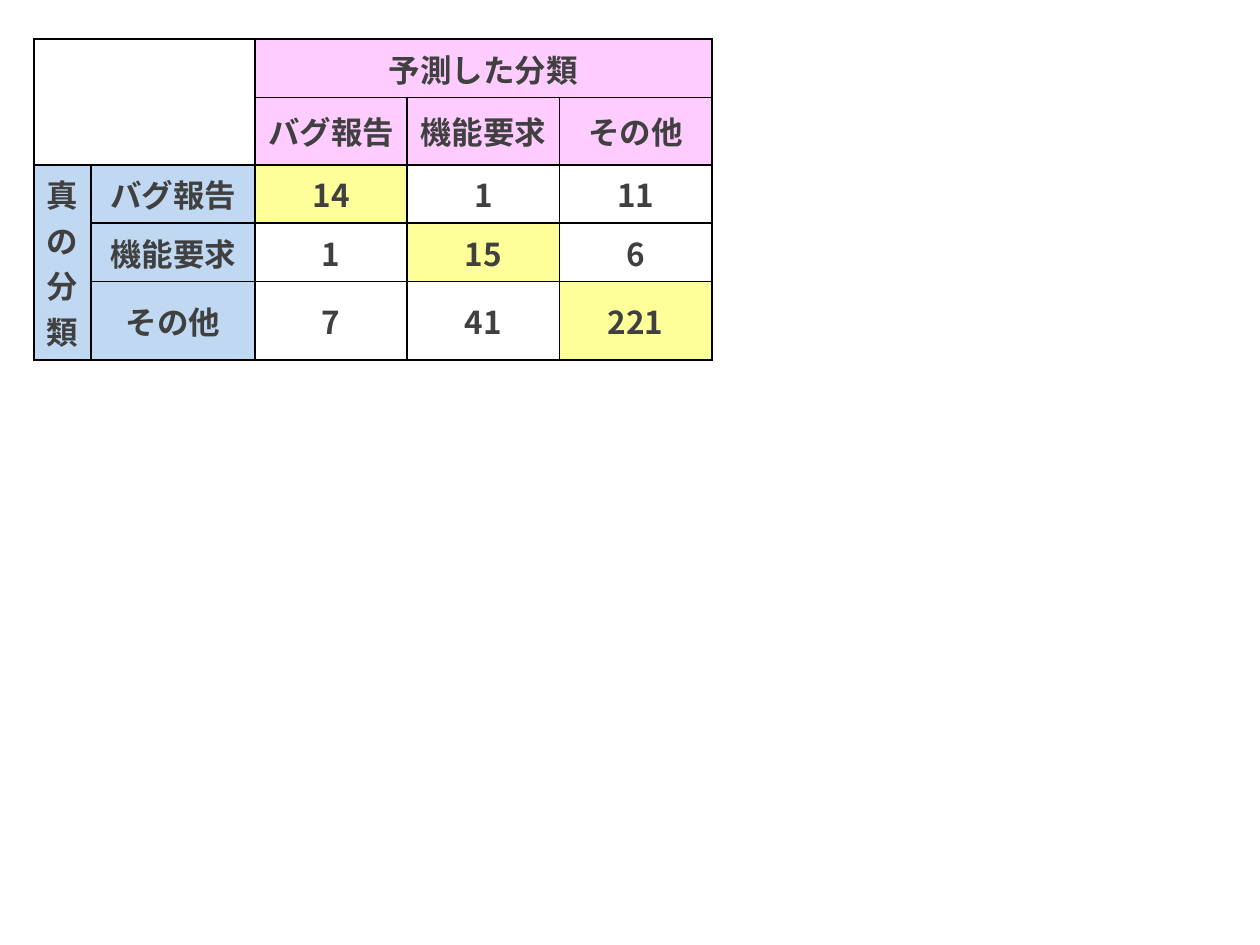
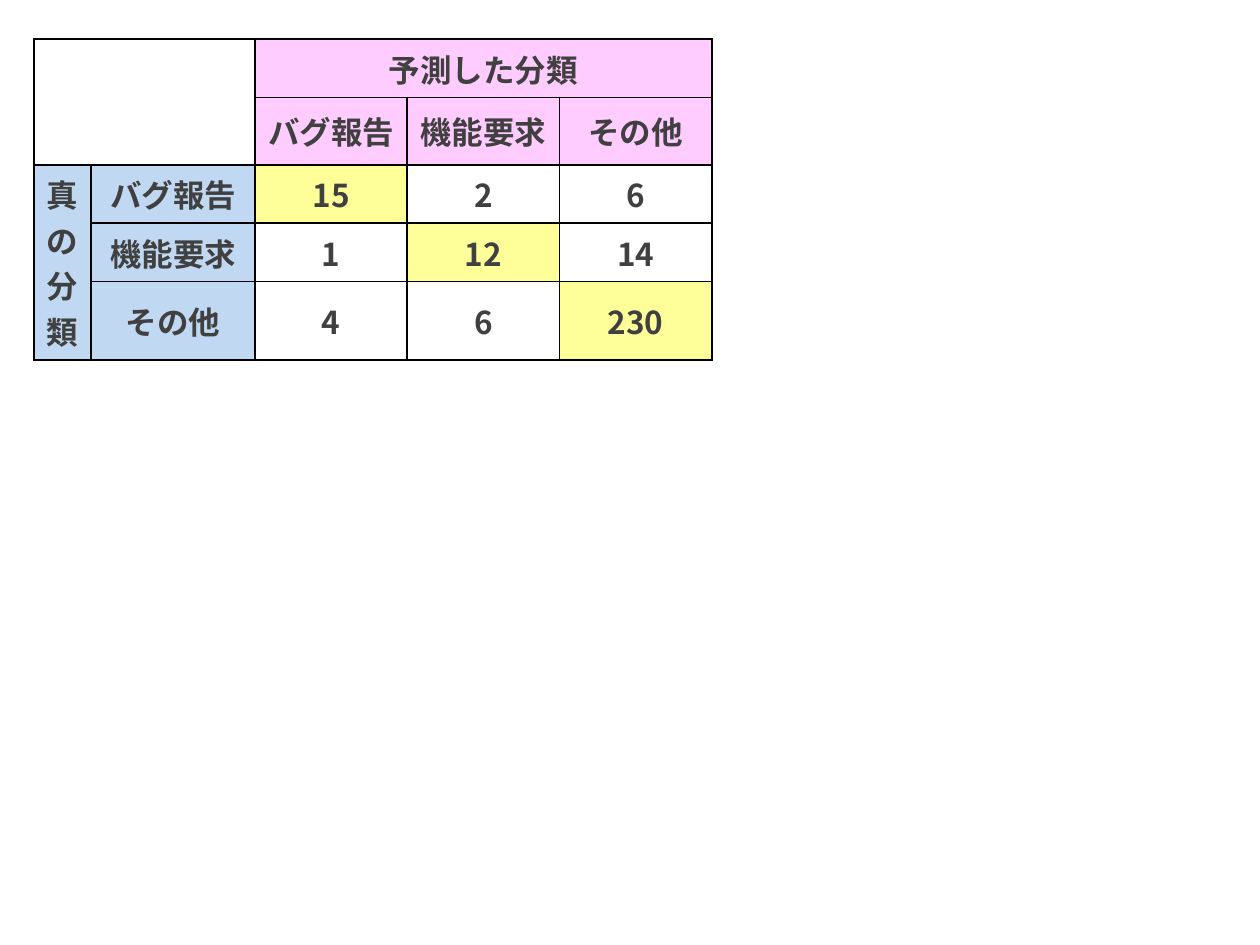
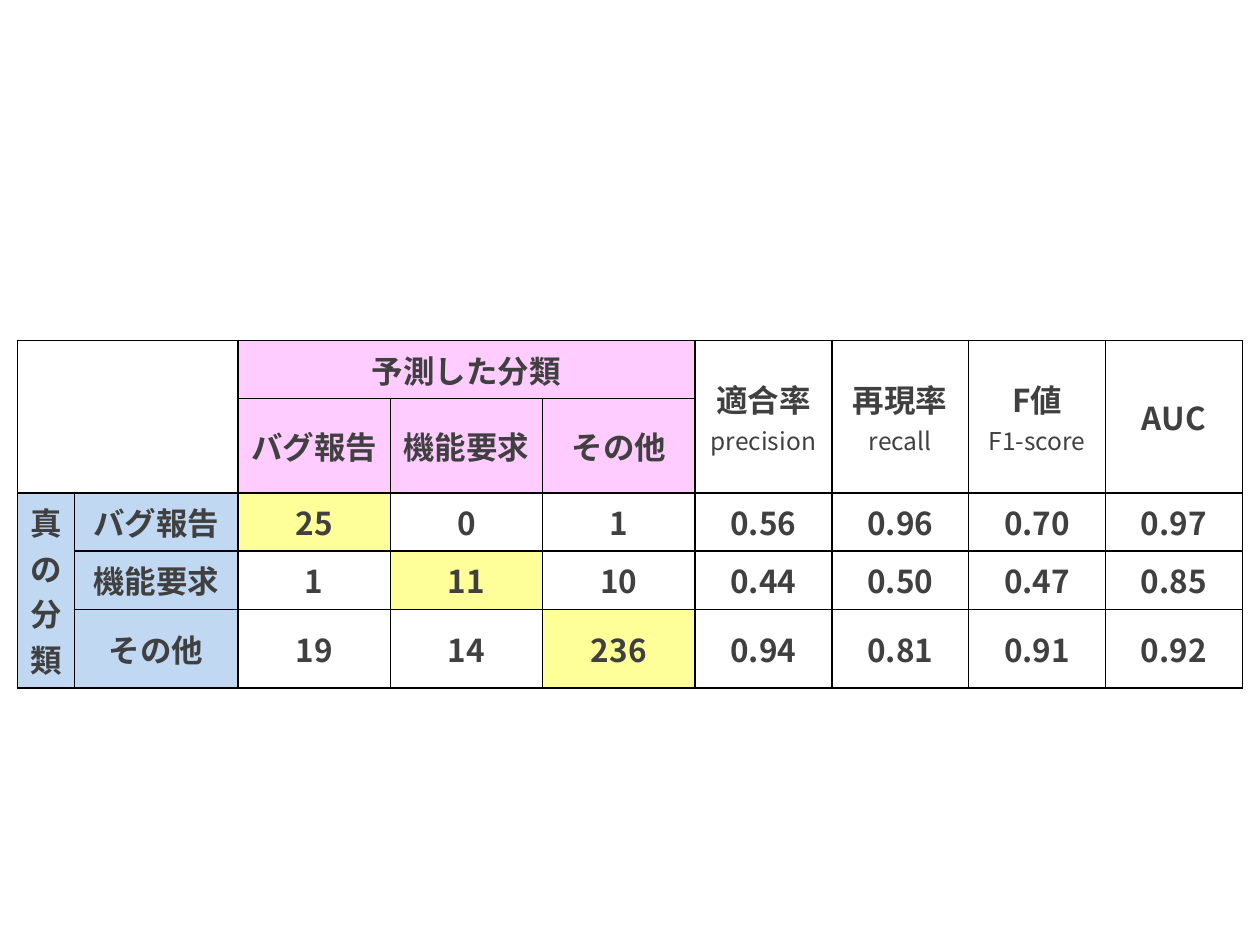
from lxml.etree import SubElement
from pptx import Presentation
from pptx.dml.color import RGBColor
from pptx.enum.text import MSO_ANCHOR, PP_ALIGN
from pptx.oxml import parse_xml
from pptx.oxml.ns import nsdecls, qn
from pptx.util import Cm, Pt

FONT = "Noto Sans CJK JP"
TEXT = RGBColor(0x40, 0x40, 0x40)
PREDICTED = RGBColor(0xFF, 0xCC, 0xFF)
ACTUAL = RGBColor(0xC1, 0xD8, 0xF2)
CORRECT = RGBColor(0xFF, 0xFF, 0x99)

CLASSES = ["バグ報告", "機能要求", "その他"]
METRICS = ["適合率\nprecision", "再現率\nrecall", "F値\nF1-score", "AUC"]
HEAD = 2  # heading rows above, and heading columns left of, the counts
FIRST_METRIC = HEAD + len(CLASSES)
LABEL_WIDTHS = [1.15, 3.3]
CLASS_WIDTH, METRIC_WIDTH = 3.07, 2.76
ROW_HEIGHT = 1

# left, top, height of the class heading row, metric names, values per true class
RESULTS = [
    (0.69, 0.79, 1.36, [], [[14, 1, 11], [1, 15, 6], [7, 41, 221]]),
    (0.69, 0.79, 1.36, [], [[15, 2, 6], [1, 12, 14], [4, 6, 230]]),
    (0.35, 6.86, 1.9, METRICS, [
        [25, 0, 1, "0.56", "0.96", "0.70", "0.97"],
        [1, 11, 10, "0.44", "0.50", "0.47", "0.85"],
        [19, 14, 236, "0.94", "0.81", "0.91", "0.92"],
    ]),
]


def fill_cell(cell, text, color):
    """Write centred text; a second line is a small, plain subtitle."""
    cell.vertical_anchor = MSO_ANCHOR.MIDDLE
    if color is None:
        cell.fill.background()
    else:
        cell.fill.solid()
        cell.fill.fore_color.rgb = color
    if not text:
        return
    cell.text = text
    for line, paragraph in enumerate(cell.text_frame.paragraphs):
        paragraph.alignment = PP_ALIGN.CENTER
        font = paragraph.font
        font.size = Pt(14 if line else 18)
        font.bold = line == 0
        font.color.rgb = TEXT
        font.name = FONT
        east_asian = SubElement(paragraph._p.pPr.find(qn("a:defRPr")), qn("a:ea"))
        east_asian.set("typeface", FONT)


def add_borders(cell):
    properties = cell._tc.get_or_add_tcPr()
    for position, side in enumerate(["lnL", "lnR", "lnT", "lnB"]):
        properties.insert(position, parse_xml(
            f'<a:{side} {nsdecls("a")} w="{Pt(1)}"><a:solidFill>'
            f'<a:srgbClr val="000000"/></a:solidFill></a:{side}>'))


prs = Presentation()
prs.slide_width, prs.slide_height = Cm(25.4), Cm(19.05)

for left, top, heading_height, metrics, values in RESULTS:
    slide = prs.slides.add_slide(prs.slide_layouts[6])
    widths = LABEL_WIDTHS + [CLASS_WIDTH] * len(CLASSES) + [METRIC_WIDTH] * len(metrics)
    heights = [ROW_HEIGHT, heading_height] + [ROW_HEIGHT] * len(CLASSES)
    matrix = slide.shapes.add_table(
        len(heights), len(widths), Cm(left), Cm(top), Cm(sum(widths)), Cm(sum(heights))).table
    matrix.first_row = matrix.horz_banding = False
    for column, width in zip(matrix.columns, widths):
        column.width = Cm(width)
    for row, height in zip(matrix.rows, heights):
        row.height = Cm(height)

    rows = [
        ["", "", "予測した分類", "", "", *metrics],
        ["", "", *CLASSES, *[""] * len(metrics)],
        *[["", name, *numbers] for name, numbers in zip(CLASSES, values)],
    ]
    rows[HEAD][0] = "真の分類"

    for r, row in enumerate(rows):
        for c, value in enumerate(row):
            if r < HEAD:
                color = PREDICTED if HEAD <= c < FIRST_METRIC else None
            elif c < HEAD:
                color = ACTUAL
            else:
                color = CORRECT if r == c else None
            fill_cell(matrix.cell(r, c), str(value), color)
            add_borders(matrix.cell(r, c))

    matrix.cell(0, 0).merge(matrix.cell(HEAD - 1, HEAD - 1))
    matrix.cell(0, HEAD).merge(matrix.cell(0, FIRST_METRIC - 1))
    matrix.cell(HEAD, 0).merge(matrix.cell(len(rows) - 1, 0))
    for c in range(FIRST_METRIC, len(widths)):
        matrix.cell(0, c).merge(matrix.cell(HEAD - 1, c))
    matrix.cell(HEAD, 0)._tc.tcPr.set("vert", "eaVert")

prs.save("out.pptx")
